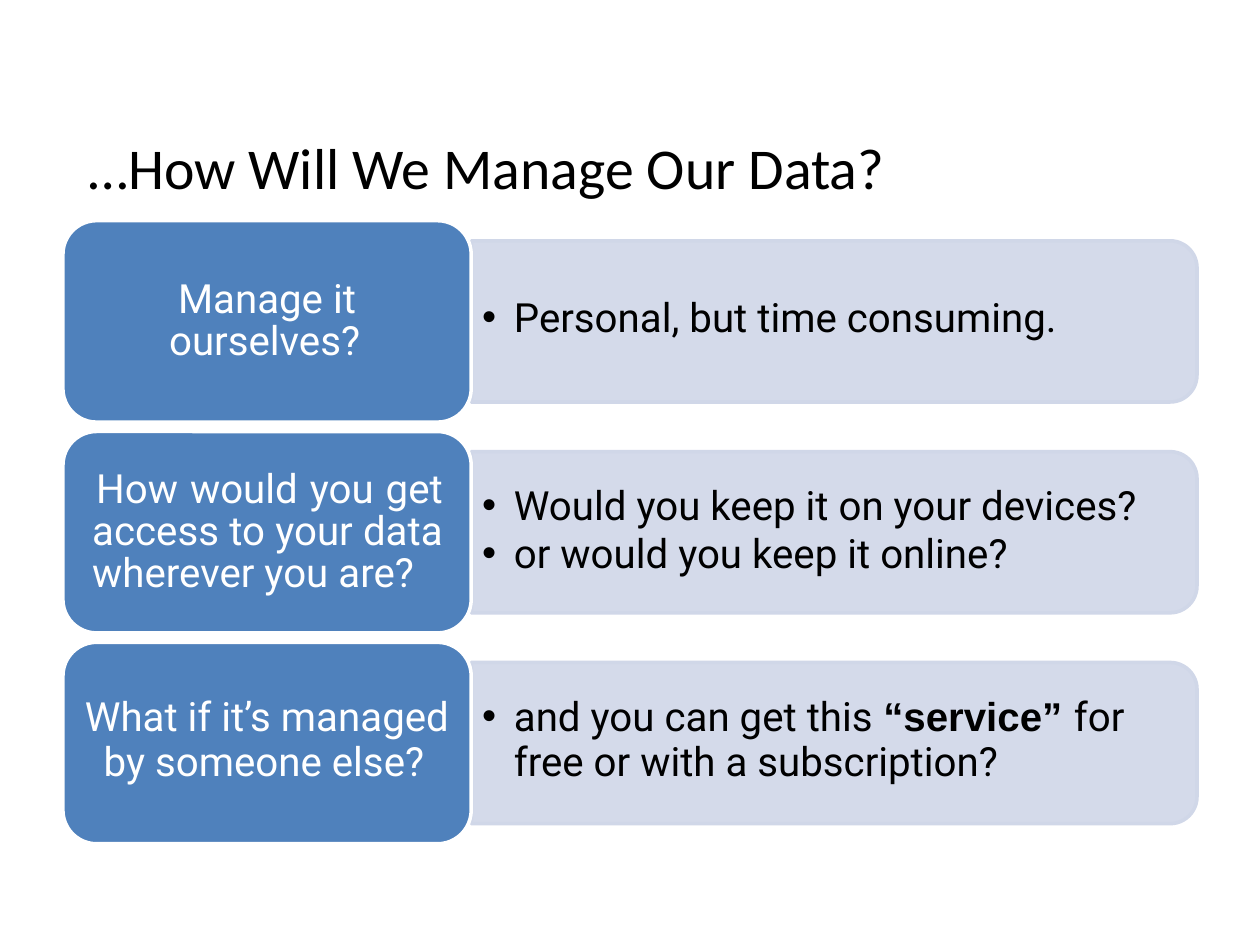
from dataclasses import dataclass

from lxml import etree
from pptx import Presentation
from pptx.dml.color import RGBColor
from pptx.enum.shapes import MSO_SHAPE
from pptx.enum.text import MSO_ANCHOR, PP_ALIGN
from pptx.oxml.ns import qn
from pptx.util import Cm, Pt

ROUNDED = MSO_SHAPE.ROUNDED_RECTANGLE
ROUND_TOP = MSO_SHAPE.ROUND_2_SAME_RECTANGLE
TOP, MIDDLE = MSO_ANCHOR.TOP, MSO_ANCHOR.MIDDLE
LEFT, JUSTIFY = PP_ALIGN.LEFT, PP_ALIGN.JUSTIFY


@dataclass(frozen=True)
class Theme:
    card: RGBColor = RGBColor(0x4F, 0x81, 0xBC)
    panel: RGBColor = RGBColor(0xD0, 0xD7, 0xE8)
    white: RGBColor = RGBColor(0xFF, 0xFF, 0xFF)
    black: RGBColor = RGBColor(0, 0, 0)
    title_font: str = "Calibri"
    body_font: str = "Roboto"
    accent_font: str = "Arial"
    title_size: int = 33
    body_size: int = 23


THEME = Theme()

# Row grid, in centimetres
ROW_TOP, ROW_PITCH = 4.45, 4.25
CARD_LEFT, CARD_W, CARD_H = 1.27, 8.23, 4.06
PANEL_LEFT, PANEL_W, PANEL_H = CARD_LEFT + CARD_W, 14.63, 3.25
PANEL_TEXT_LEFT = 9.7
CORNER = 0.1667


@dataclass
class Para:
    runs: list  # (text, is_accent) pairs
    margin: float = 0.03
    indent: float = 0
    bullet: bool = False
    align: PP_ALIGN = LEFT
    leading: float = None
    before: float = 0


def bullet(text, **options):
    return Para([(text, False)], 0.66, -0.64, True, **options)


@dataclass
class Label:
    """A text block: its box in cm, top inset in cm and paragraphs."""
    left: float
    top: float
    width: float
    height: float
    paras: list
    inset: float = 0.03


ROWS = [
    (Label(3.38, 5.46, 4.0, 1.88,
           [Para([("Manage it ourselves?", False)], indent=0.18, leading=23.8)], 0.18),
     Label(PANEL_TEXT_LEFT, 5.87, 11.75, 1.04,
           [bullet("Personal, but time consuming.")])),
    (Label(1.83, 9.3, 7.11, 2.72,
           [Para([("How would you get access to your data wherever you are?", False)],
                 indent=0.08, align=JUSTIFY, leading=23.8)], 0.18),
     Label(PANEL_TEXT_LEFT, 9.65, 13.6, 2.03,
           [bullet("Would you keep it on your devices?"),
            bullet("or would you keep it online?", before=0.1)])),
    (Label(1.68, 13.97, 7.45, 1.88,
           [Para([("What if it’s managed", False)], leading=25.7),
            Para([("by someone else?", False)], 0.41, leading=25.7)]),
     Label(PANEL_TEXT_LEFT, 13.97, 13.05, 1.88,
           [Para([("and you can get this ", False), ("“service” ", True), ("for", False)],
                 0.66, -0.64, True, leading=25.7),
            Para([("free or with a subscription?", False)], 0.66, leading=25.7)])),
]


def format_paragraph(p, para):
    pPr = p._p.get_or_add_pPr()
    pPr.set("marL", str(Cm(para.margin)))
    pPr.set("indent", str(Cm(para.indent)))
    if para.bullet:
        etree.SubElement(pPr, qn("a:buFont")).set("typeface", "Arial")
        etree.SubElement(pPr, qn("a:buChar")).set("char", "•")
    p.alignment = para.align
    p.space_before = Pt(para.before)
    if para.leading:
        p.line_spacing = Pt(para.leading)


def add_label(s, label, color, font, size, anchor=TOP):
    box = s.shapes.add_textbox(Cm(label.left), Cm(label.top),
                               Cm(label.width), Cm(label.height))
    tf = box.text_frame
    tf.word_wrap = True
    tf.vertical_anchor = anchor
    tf.margin_left = tf.margin_right = tf.margin_bottom = 0
    tf.margin_top = Cm(label.inset)
    for i, para in enumerate(label.paras):
        p = tf.add_paragraph() if i else tf.paragraphs[0]
        format_paragraph(p, para)
        for text, accent in para.runs:
            r = p.add_run()
            r.text = text
            r.font.name = THEME.accent_font if accent else font
            r.font.bold = accent
            r.font.size = Pt(size)
            r.font.color.rgb = color


def add_block(s, kind, left, top, width, height, fill, line):
    sp = s.shapes.add_shape(kind, Cm(left), Cm(top), Cm(width), Cm(height))
    sp.shadow.inherit = False
    sp.adjustments[0] = CORNER
    sp.fill.solid()
    sp.fill.fore_color.rgb = fill
    sp.line.color.rgb = line
    sp.line.width = Pt(2)
    return sp


def add_panel(s, top):
    """Panel rounded on its right side: a top-rounded shape turned a quarter."""
    shift = (PANEL_W - PANEL_H) / 2
    sp = add_block(s, ROUND_TOP, PANEL_LEFT + shift, top - shift,
                   PANEL_H, PANEL_W, THEME.panel, THEME.panel)
    sp.rotation = 90
    color = sp._element.spPr.find(qn("a:solidFill"))[0]
    etree.SubElement(color, qn("a:alpha")).set("val", "90000")


def add_row(s, top, card_label, panel_label):
    add_panel(s, top + (CARD_H - PANEL_H) / 2)
    add_label(s, panel_label, THEME.black, THEME.body_font, THEME.body_size)
    add_block(s, ROUNDED, CARD_LEFT, top, CARD_W, CARD_H, THEME.card, THEME.white)
    add_label(s, card_label, THEME.white, THEME.body_font, THEME.body_size)


def main():
    prs = Presentation()
    prs.slide_width, prs.slide_height = Cm(25.4), Cm(19.05)
    s = prs.slides.add_slide(prs.slide_layouts[6])
    title = Label(1.75, 1.02, 21.9, 3.68,
                  [Para([("…How Will We Manage Our Data?", False)])], 0.97)
    add_label(s, title, THEME.black, THEME.title_font, THEME.title_size, MIDDLE)
    for i, (card_label, panel_label) in enumerate(ROWS):
        add_row(s, ROW_TOP + i * ROW_PITCH, card_label, panel_label)
    prs.save("out.pptx")


if __name__ == "__main__":
    main()
